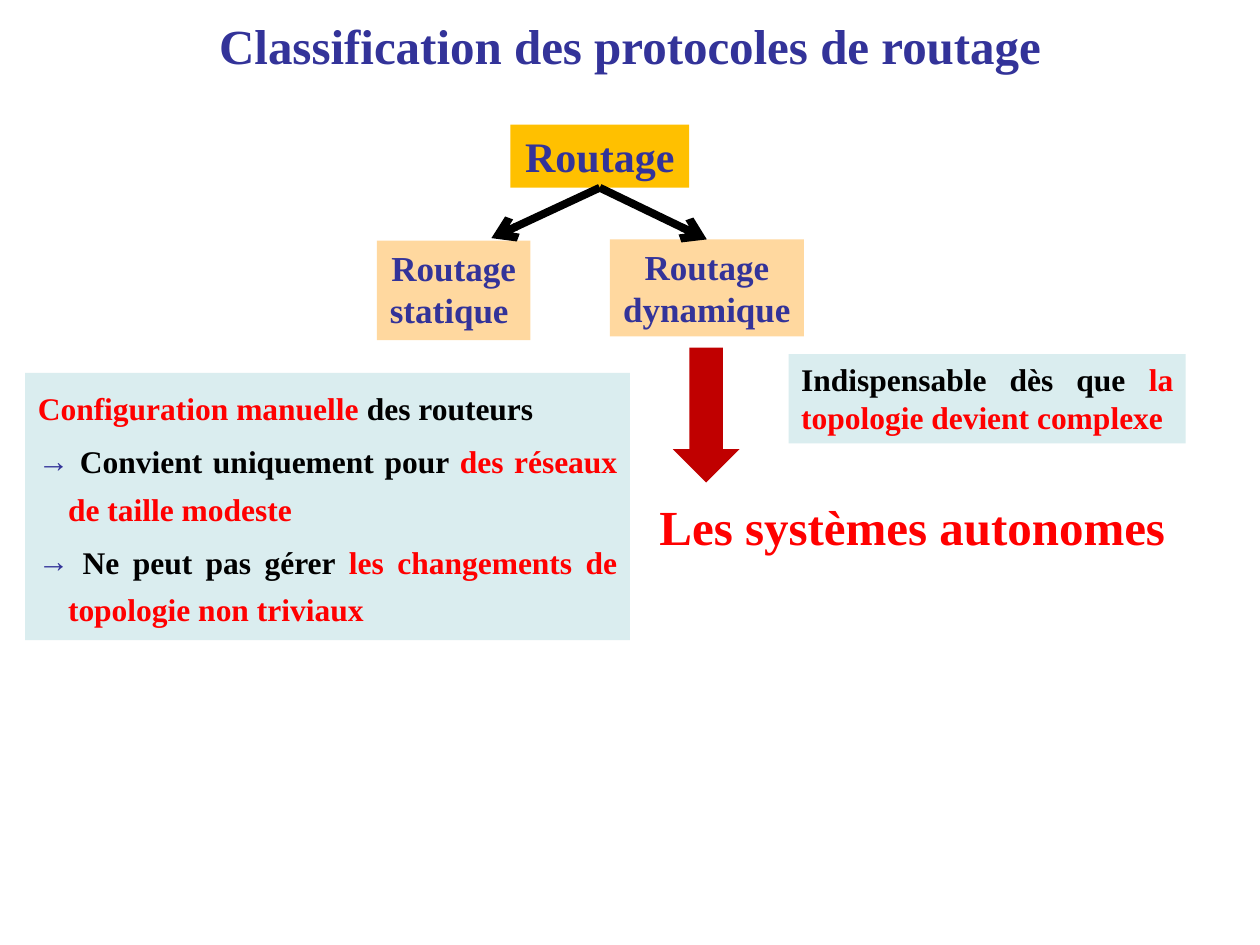
from lxml import etree
from pptx import Presentation
from pptx.dml.color import RGBColor
from pptx.enum import shapes, text
from pptx.oxml import ns
from pptx.util import Inches, Pt

COLOURS = {
    "title": "333399",
    "root": "FFC000",
    "branch": "FFD89F",
    "panel": "DAEDEF",
    "key": "FF0000",
    "ink": "000000",
    "arrow": "C00000",
}
FONT = "Times New Roman"
CENTER, JUSTIFY = text.PP_ALIGN.CENTER, text.PP_ALIGN.JUSTIFY


def colour(name):
    return RGBColor.from_string(COLOURS[name])


def fill(shape, name):
    shape.fill.solid()
    shape.fill.fore_color.rgb = colour(name)
    shape.line.fill.background()


def write(paragraph, runs, size, alignment, before=0.0):
    """Fill a paragraph with (wording, colour name) runs."""
    paragraph.alignment = alignment
    paragraph.space_before = Pt(before)
    font = paragraph.font
    font.name, font.size, font.bold = FONT, Pt(size), True
    font.color.rgb = colour(runs[0][1])
    for wording, name in runs:
        run = paragraph.add_run()
        run.text = wording
        if name != runs[0][1]:
            run.font.color.rgb = colour(name)


def set_bullet(paragraph, character=None, indent=0.0):
    properties = paragraph._p.get_or_add_pPr()
    properties.set("marL", str(Inches(indent)))
    properties.set("indent", str(-Inches(indent)))
    following = properties.find(ns.qn("a:defRPr"))
    parts = []
    if character:
        bullet_colour = etree.Element(ns.qn("a:buClr"))
        etree.SubElement(bullet_colour, ns.qn("a:srgbClr"), val=COLOURS["title"])
        parts = [bullet_colour, etree.Element(ns.qn("a:buChar"), char=character)]
    else:
        parts = [etree.Element(ns.qn("a:buNone"))]
    for part in parts:
        following.addprevious(part)


def place(shape, left, top, width, height):
    shape.left, shape.top = Inches(left), Inches(top)
    shape.width, shape.height = Inches(width), Inches(height)


def add_box(slide, box, fill_name, runs, size, alignment=CENTER):
    shape = slide.shapes.add_shape(shapes.MSO_SHAPE.RECTANGLE, *map(Inches, box))
    shape.shadow.inherit = False
    fill(shape, fill_name)
    frame = shape.text_frame
    frame.word_wrap = True
    frame.vertical_anchor = text.MSO_ANCHOR.TOP
    write(frame.paragraphs[0], runs, size, alignment, 0.2 * size)
    return shape


def add_branch_arrow(slide, parent, x, y, child=None):
    """Arrow from the bottom of parent to a point, or to the top of child."""
    line = slide.shapes.add_connector(
        shapes.MSO_CONNECTOR.STRAIGHT, 0, 0, Inches(x), Inches(y))
    line.begin_connect(parent, 2)
    if child is not None:
        line.end_connect(child, 0)
    line.line.color.rgb = colour("ink")
    line.line.width = Pt(4.5)
    etree.SubElement(line.line._get_or_add_ln(), ns.qn("a:tailEnd"), type="arrow")
    etree.SubElement(line._element.spPr, ns.qn("a:effectLst"))


def add_tree(slide, left, top):
    root = add_box(slide, (left + 1.06, top, 1.42, 0.5), "root",
                   [("Routage", "title")], 24)
    add_box(slide, (left, top + 0.92, 1.22, 0.79), "branch",
            [("Routage statique ", "title")], 20)
    dynamic = add_box(slide, (left + 1.85, top + 0.91, 1.54, 0.77), "branch",
                      [("Routage dynamique ", "title")], 20)
    add_branch_arrow(slide, root, left + 0.91, top + 0.9)
    add_branch_arrow(slide, root, left + 2.62, top + 0.91, dynamic)


def fill_title(title, box):
    place(title, *box)
    frame = title.text_frame
    frame.auto_size = text.MSO_AUTO_SIZE.NONE
    frame.vertical_anchor = text.MSO_ANCHOR.MIDDLE
    write(frame.paragraphs[0],
          [("Classification des protocoles de routage", "title")], 28, CENTER)


def fill_static_panel(body, box):
    place(body, *box)
    fill(body, "panel")
    frame = body.text_frame
    frame.auto_size = text.MSO_AUTO_SIZE.NONE
    frame.vertical_anchor = text.MSO_ANCHOR.TOP
    lines = [
        [("Configuration manuelle ", "key"), ("des routeurs", "ink")],
        [(" Convient uniquement pour ", "ink"),
         ("des réseaux de taille modeste ", "key")],
        [(" Ne peut pas gérer ", "ink"),
         ("les changements de topologie non triviaux", "key")],
    ]
    for index, runs in enumerate(lines):
        paragraph = frame.add_paragraph() if index else frame.paragraphs[0]
        write(paragraph, runs, 18, JUSTIFY, 3.6)
        paragraph.line_spacing = Pt(27)
        if index:
            set_bullet(paragraph, "→", 0.24)
        else:
            set_bullet(paragraph)


def add_dynamic_panel(slide, left, top):
    arrow = slide.shapes.add_shape(
        shapes.MSO_SHAPE.DOWN_ARROW, Inches(left + 0.26), Inches(top),
        Inches(0.53), Inches(1.07))
    arrow.shadow.inherit = False
    fill(arrow, "arrow")
    add_box(slide, (left + 1.18, top + 0.05, 3.15, 0.71), "panel",
            [("Indispensable dès que ", "ink"),
             ("la topologie devient complexe", "key")], 18, JUSTIFY)
    label = slide.shapes.add_textbox(
        Inches(left), Inches(top + 1.13), Inches(4.32), Inches(0.57))
    label.text_frame.word_wrap = False
    write(label.text_frame.paragraphs[0],
          [("Les systèmes autonomes", "key")], 28, CENTER)


def main():
    presentation = Presentation()
    presentation.slide_width, presentation.slide_height = Inches(10), Inches(7.5)
    slide = presentation.slides.add_slide(presentation.slide_layouts[1])
    fill_title(slide.shapes.title, (0.5, 0.05, 9, 0.61))
    fill_static_panel(slide.placeholders[1], (0.2, 2.96, 4.8, 2.12))
    add_tree(slide, 2.99, 0.99)
    add_dynamic_panel(slide, 5.08, 2.76)
    presentation.save("out.pptx")


if __name__ == "__main__":
    main()
